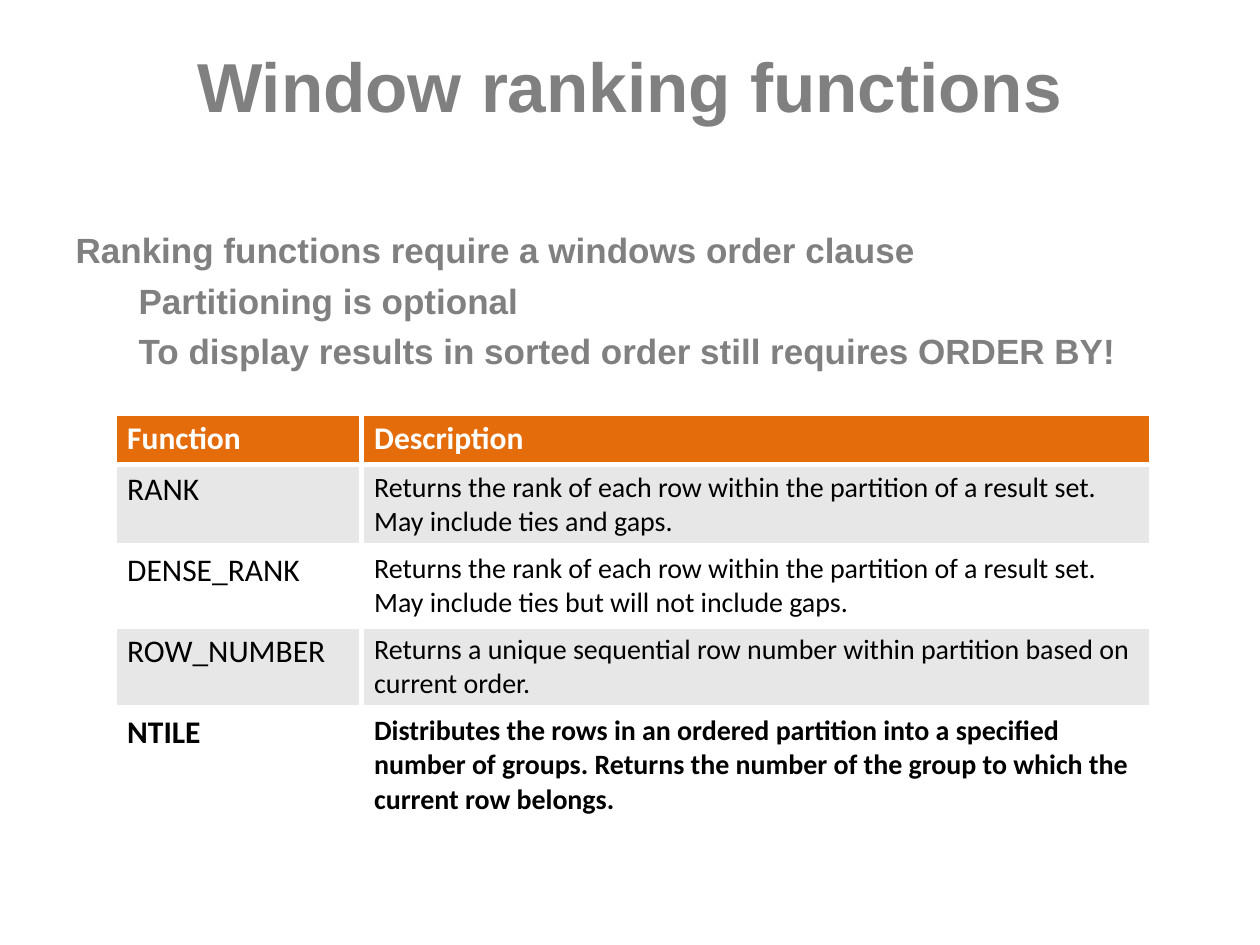
from dataclasses import dataclass

from lxml.etree import SubElement as Sub
from pptx import Presentation
from pptx.dml.color import RGBColor as RGB
from pptx.enum.text import MSO_ANCHOR as Anchor, MSO_AUTO_SIZE as Fit, PP_ALIGN as Align
from pptx.oxml.ns import qn
from pptx.util import Inches, Pt


@dataclass
class Theme:
    gray: str = "808080"
    head: str = "E46C0A"
    band: str = "E7E7E7"
    white: str = "FFFFFF"
    black: str = "000000"
    sans: str = "Arial"
    grid: str = "Calibri"
    title: float = 39.6
    list: int = 20
    name: int = 18
    cell: int = 16
    rule: int = 3


theme = Theme()


def write(para, text, face, size, color, bold):
    run = para.add_run()
    run.text = text
    font = run.font
    font.name, font.size, font.bold = face, Pt(size), bold
    font.color.rgb = RGB.from_string(color)


def place(shape, left, top, width, height):
    """Set a box from shares of the slide's size."""
    shape.left, shape.width = int(wide * left), int(wide * width)
    shape.top, shape.height = int(high * top), int(high * height)


deck = Presentation()
deck.slide_width, deck.slide_height = Inches(10), Inches(7.5)
wide, high = deck.slide_width, deck.slide_height
slide = deck.slides.add_slide(deck.slide_layouts[1])

# Title
title = slide.shapes.title
place(title, 0.05, 0.04, 0.9, 0.1)
frame = title.text_frame
frame.auto_size, frame.vertical_anchor = Fit.NONE, Anchor.MIDDLE
para = frame.paragraphs[0]
para.alignment = Align.CENTER
write(para, "Window ranking functions", theme.sans, theme.title, theme.gray, True)

# List
body = slide.placeholders[1]
place(body, 0.05, 0.235, 0.9, 0.18)
frame = body.text_frame
frame.auto_size = Fit.NONE
points = [
    (0, "Ranking functions require a windows order clause"),
    (1, "Partitioning is optional"),
    (1, "To display results in sorted order still requires ORDER BY!"),
]
for num, (level, text) in enumerate(points):
    para = frame.add_paragraph() if num else frame.paragraphs[0]
    props = para._p.get_or_add_pPr()
    props.set("marL", str(Inches(0.5) * level))
    props.set("indent", "0")
    Sub(props, qn("a:buNone"))
    para.level = level
    para.space_before = Pt(5 if num else 0)
    write(para, text, theme.sans, theme.list, theme.gray, True)

# Table of functions
rows = [
    ("Function", "Description"),
    ("RANK", "Returns the rank of each row within the partition of a result set. "
             "May include ties and gaps."),
    ("DENSE_RANK", "Returns the rank of each row within the partition of a result set. "
                   "May include ties but will not include gaps."),
    ("ROW_NUMBER", "Returns a unique sequential row number within partition based on "
                   "current order."),
    ("NTILE", "Distributes the rows in an ordered partition into a specified number of "
              "groups. Returns the number of the group to which the current row belongs."),
]
cols = [1.96, 6.27]
lines = [0.4, 0.64, 0.64, 0.64, 0.88]
table = slide.shapes.add_table(
    len(rows), len(cols), Inches(0.91), Inches(3.28),
    Inches(sum(cols)), Inches(sum(lines))).table
table.horz_banding = False
for col, width in zip(table.columns, cols):
    col.width = Inches(width)

for r, row in enumerate(rows):
    table.rows[r].height = Inches(lines[r])
    top, last = r == 0, r == len(rows) - 1
    fill = theme.head if top else theme.band if r % 2 else theme.white
    for c, text in enumerate(row):
        cell = table.cell(r, c)
        props = cell._tc.get_or_add_tcPr()
        for side in ("lnL", "lnR", "lnT", "lnB"):
            edge = Sub(props, qn(f"a:{side}"), w=str(Pt(theme.rule)))
            Sub(Sub(edge, qn("a:solidFill")), qn("a:srgbClr"), val=theme.white)
        cell.fill.solid()
        cell.fill.fore_color.rgb = RGB.from_string(fill)
        size = theme.name if top or c == 0 else theme.cell
        color = theme.white if top else theme.black
        write(cell.text_frame.paragraphs[0], text, theme.grid, size, color, top or last)

deck.save("out.pptx")
